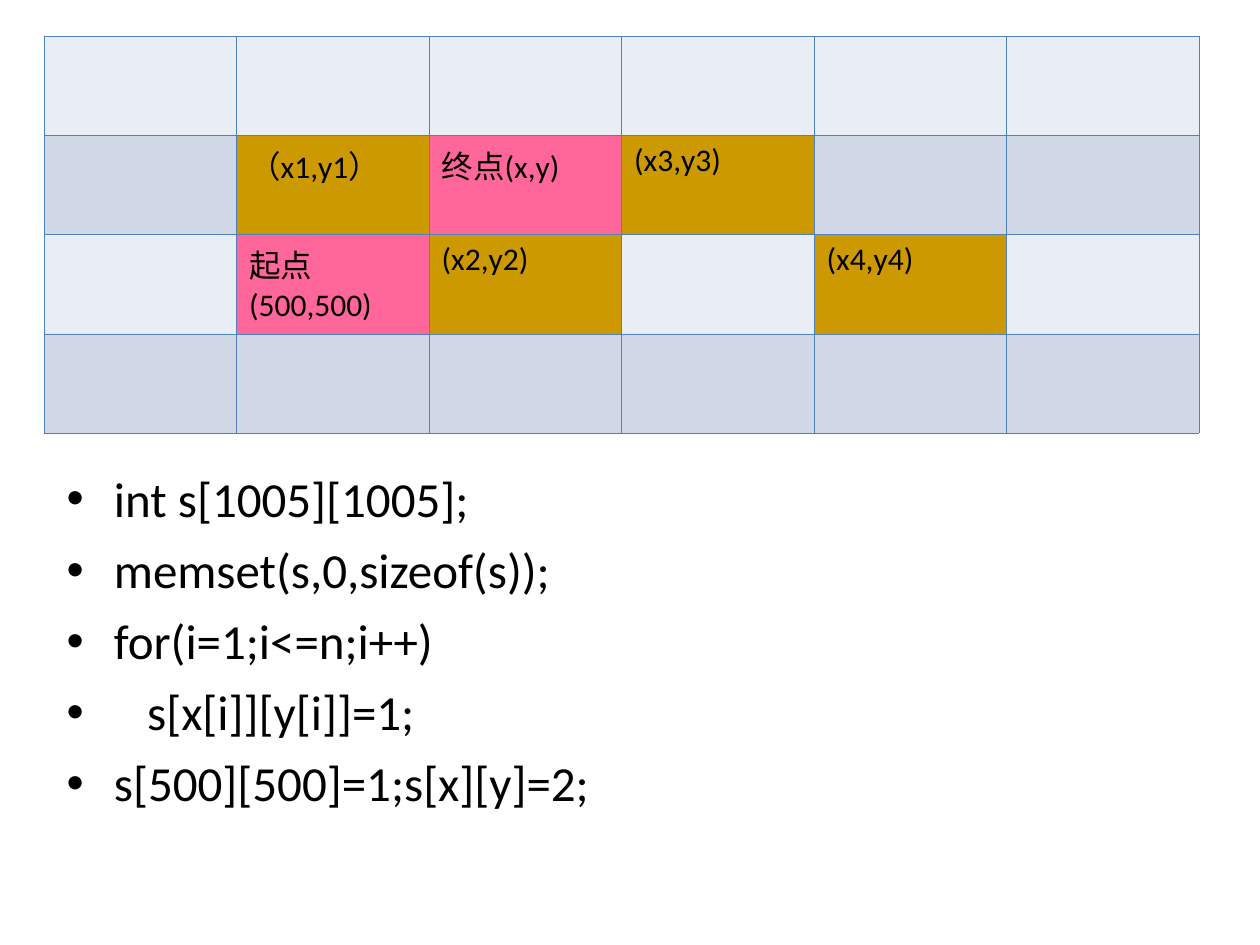
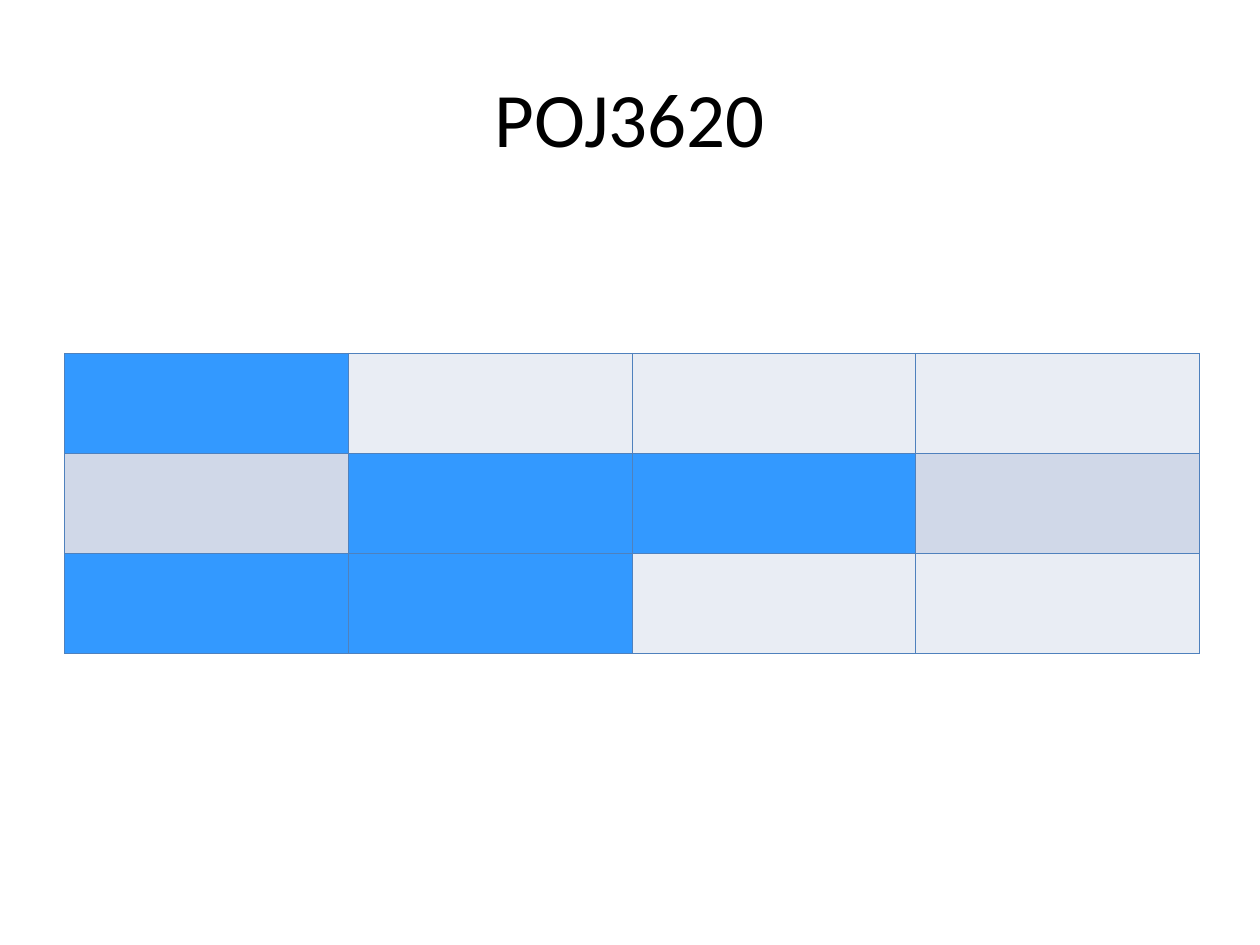
"""Build two slides with grid maps: a maze with its setup code, and POJ3620."""
from lxml.etree import SubElement
from pptx import Presentation
from pptx.dml.color import RGBColor
from pptx.enum.text import MSO_ANCHOR, MSO_AUTO_SIZE, PP_ALIGN
from pptx.oxml.ns import qn
from pptx.util import Cm, Pt

BLACK = RGBColor(0x00, 0x00, 0x00)
BANDS = RGBColor(0xE9, 0xED, 0xF4), RGBColor(0xD0, 0xD8, 0xE8)
BORDER = RGBColor(0x4F, 0x81, 0xBD)
GOLD = RGBColor(0xCC, 0x99, 0x00)
PINK = RGBColor(0xFF, 0x66, 0x99)
WATER = RGBColor(0x33, 0x99, 0xFF)
FONT = "Calibri"

CODE = [
    "int s[1005][1005];",
    "memset(s,0,sizeof(s));",
    "for(i=1;i<=n;i++)",
    "   s[x[i]][y[i]]=1;",
    "s[500][500]=1;s[x][y]=2;",
]
MAZE = {
    (1, 1): ("（x1,y1）", GOLD),
    (1, 2): ("终点(x,y)", PINK),
    (1, 3): ("(x3,y3)", GOLD),
    (2, 1): ("起点(500,500)", PINK),
    (2, 2): ("(x2,y2)", GOLD),
    (2, 4): ("(x4,y4)", GOLD),
}
TITLE = "POJ3620"
LAKE = {pos: ("", WATER) for pos in [(0, 0), (1, 1), (1, 2), (2, 0), (2, 1)]}


def write(tf, text, size, align=PP_ALIGN.LEFT, gap=0):
    """Fill a text frame with one paragraph per line of text."""
    tf.word_wrap = True
    for i, line in enumerate(text.split("\n")):
        p = tf.paragraphs[0] if i == 0 else tf.add_paragraph()
        p.alignment = align
        p.space_before = Pt(gap if i else 0)
        r = p.add_run()
        r.text = line
        r.font.name, r.font.size = FONT, Pt(size)
        r.font.color.rgb = BLACK


def place(sp, left, top, width, height):
    """Move a placeholder and keep its text at full size."""
    sp.left, sp.top, sp.width, sp.height = map(Cm, (left, top, width, height))
    sp.text_frame.auto_size = MSO_AUTO_SIZE.NONE
    return sp.text_frame


def add_borders(cell):
    """Draw a thin line on all four sides of a cell."""
    tc_pr = cell._tc.get_or_add_tcPr()
    for side in ("a:lnL", "a:lnR", "a:lnT", "a:lnB"):
        ln = SubElement(tc_pr, qn(side), w=str(Pt(0.45)))
        fill = SubElement(ln, qn("a:solidFill"))
        SubElement(fill, qn("a:srgbClr"), val=str(BORDER))


def add_grid(s, rows, cols, left, top, cell_w, cell_h, marks):
    """Add a banded grid whose marked cells have their own text and fill."""
    table = s.shapes.add_table(rows, cols, Cm(left), Cm(top),
                               Cm(cell_w * cols), Cm(cell_h * rows)).table
    table.first_row = False
    for col in table.columns:
        col.width = Cm(cell_w)
    for i, row in enumerate(table.rows):
        row.height = Cm(cell_h)
        for j, cell in enumerate(row.cells):
            text, color = marks.get((i, j), ("", BANDS[i % 2]))
            add_borders(cell)
            cell.fill.solid()
            cell.fill.fore_color.rgb = color
            if text:
                write(cell.text_frame, text, 18)


def main():
    """Build and save the slides."""
    prs = Presentation()
    prs.slide_width, prs.slide_height = Cm(25.4), Cm(19.05)

    s = prs.slides.add_slide(prs.slide_layouts[1])
    title = s.shapes.title.element
    title.getparent().remove(title)
    write(place(s.placeholders[1], 1.09, 9.32, 22.86, 8.2), "\n".join(CODE), 28, gap=7)
    add_grid(s, 4, 6, 0.89, 0.73, 3.88, 2, MAZE)

    s = prs.slides.add_slide(prs.slide_layouts[5])
    tf = place(s.shapes.title, 1.27, 0.76, 22.86, 3.18)
    tf.vertical_anchor = MSO_ANCHOR.MIDDLE
    write(tf, TITLE, 44, align=PP_ALIGN.CENTER)
    add_grid(s, 3, 4, 1.3, 7.12, 5.72, 2.02, LAKE)

    prs.save("out.pptx")


if __name__ == "__main__":
    main()
